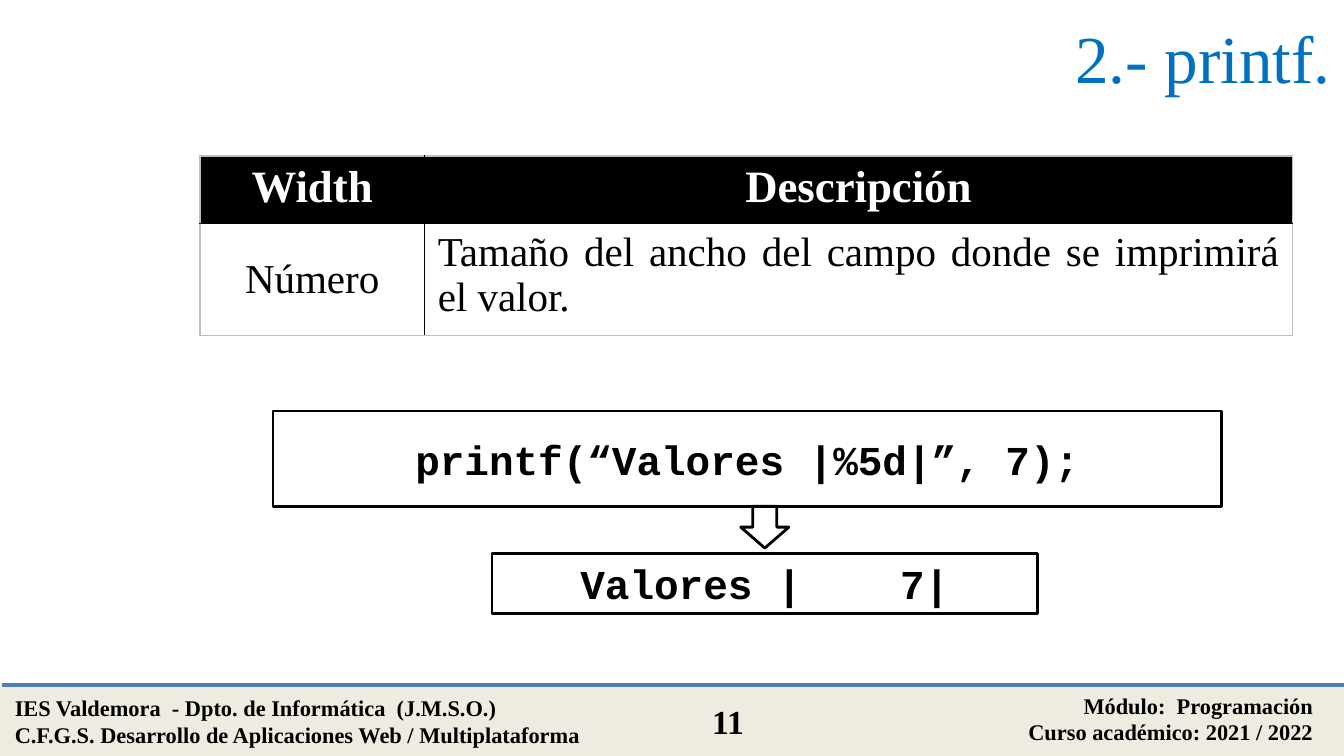
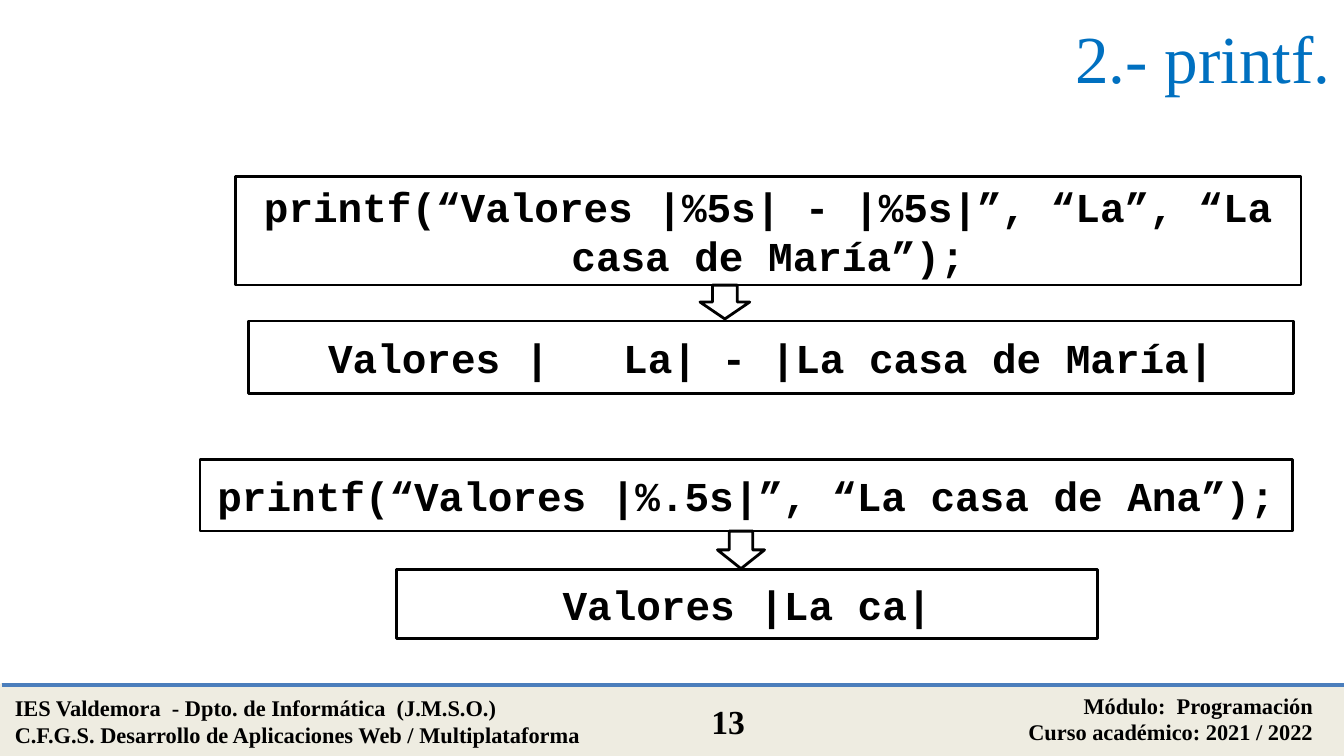
from lxml import etree
from pptx import Presentation
from pptx.dml.color import RGBColor
from pptx.enum.shapes import MSO_CONNECTOR, MSO_SHAPE
from pptx.enum.text import MSO_ANCHOR, PP_ALIGN
from pptx.oxml.ns import qn
from pptx.util import Cm, Pt

LEFT, CENTER, RIGHT = PP_ALIGN.LEFT, PP_ALIGN.CENTER, PP_ALIGN.RIGHT
JUSTIFY = PP_ALIGN.JUSTIFY
TOP, MIDDLE = MSO_ANCHOR.TOP, MSO_ANCHOR.MIDDLE
RECT, ARROW = MSO_SHAPE.RECTANGLE, MSO_SHAPE.DOWN_ARROW
STRAIGHT = MSO_CONNECTOR.STRAIGHT

COLORS = {"ink": "000000", "paper": "FFFFFF", "title": "0070C0",
          "band": "EEECE1", "rule": "4B7EBC", "edge": "BFBFBF"}
SERIF, MONO = "Times New Roman", "Courier New"
WIDE, HIGH = 25.4, 14.29
BAND_TOP = 12.95

TITLE = "2.- printf."
SCHOOL = ["IES Valdemora  - Dpto. de Informática  (J.M.S.O.)",
          "C.F.G.S. Desarrollo de Aplicaciones Web / Multiplataforma"]
COURSE = ["Módulo:  Programación", "Curso académico: 2021 / 2022"]

# Table: cell texts, column widths, row heights
TABLE = {
    "at": (3.78, 2.95),
    "cols": (4.24, 16.41),
    "rows": (1.19, 1.98),
    "cells": [["Width", "Descripción"],
              ["Número", "Tamaño del ancho del campo donde se imprimirá "
                         "el valor."]],
}

# Each example: code and its box, arrow (left, width, height), output and its box
SLIDES = [
    {"number": 11, "table": TABLE, "demos": [
        ("printf(“Valores |%5d|”, 7);", (5.16, 7.77, 17.93, 1.8),
         (14, 0.91, 0.79),
         "Valores |    7|", (9.3, 10.46, 10.31, 1.14)),
    ]},
    {"number": 13, "table": None, "demos": [
        ("printf(“Valores |%5s| - |%5s|”, “La”, “La casa de María”);",
         (4.45, 3.33, 20.14, 2.06),
         (13.23, 0.94, 0.64),
         "Valores |   La| - |La casa de María|", (4.7, 6.07, 19.74, 1.37)),
        ("printf(“Valores |%.5s|”, “La casa de Ana”);",
         (3.78, 8.69, 20.65, 1.35),
         (13.56, 0.89, 0.71),
         "Valores |La ca|", (7.49, 10.77, 13.26, 1.3)),
    ]},
]


def rgb(name):
    """Return the named colour."""
    return RGBColor.from_string(COLORS[name])


def write(frame, lines, size=12, font=SERIF, color="ink", bold=False,
          align=LEFT, anchor=TOP):
    """Fill a text frame with one paragraph per line."""
    frame.word_wrap = True
    frame.vertical_anchor = anchor
    for i, line in enumerate(lines):
        para = frame.paragraphs[0] if i == 0 else frame.add_paragraph()
        para.alignment = align
        run = para.add_run()
        run.text = line
        run.font.size, run.font.name, run.font.bold = Pt(size), font, bold
        run.font.color.rgb = rgb(color)


def label(parent, box, lines, **style):
    """Add a text box."""
    shape = parent.shapes.add_textbox(*map(Cm, box))
    write(shape.text_frame, lines, **style)


def block(parent, kind, box, fill=None, line="ink", width=1.5):
    """Add a flat preset shape and return it."""
    shape = parent.shapes.add_shape(kind, *map(Cm, box))
    shape.shadow.inherit = False
    if fill:
        shape.fill.solid()
        shape.fill.fore_color.rgb = rgb(fill)
    else:
        shape.fill.background()
    shape.line.color.rgb = rgb(line)
    shape.line.width = Pt(width)
    return shape


def frame(slide, number):
    """Add the footer band and the title."""
    band = slide.shapes.add_group_shape()
    block(band, RECT, (0.03, BAND_TOP, WIDE, 1.32), "band", "band", 2)
    rule = band.shapes.add_connector(STRAIGHT, Cm(0.03), Cm(BAND_TOP),
                                     Cm(WIDE + 0.03), Cm(BAND_TOP))
    rule.line.color.rgb = rgb("rule")
    rule.line.width = Pt(2)
    props = rule._element.find(qn("p:spPr"))
    etree.SubElement(props, qn("a:effectLst"))
    label(band, (0.03, 13, 11.84, 1.27), SCHOOL, bold=True)
    label(band, (14.91, BAND_TOP, 10.16, 1.27), COURSE, bold=True, align=RIGHT)
    label(band, (12.73, 13.13, 2.06, 1.02), [str(number)], size=18,
          bold=True, align=CENTER)
    label(slide, (3.35, 0, 22.05, 2.13), [TITLE], size=36, color="title",
          align=RIGHT, anchor=MIDDLE)


def border(cell, side, color, width):
    """Draw one side of a table cell."""
    props = cell._tc.get_or_add_tcPr()
    line = etree.SubElement(props, qn("a:ln" + side), w=str(Pt(width)))
    fill = etree.SubElement(line, qn("a:solidFill"))
    etree.SubElement(fill, qn("a:srgbClr"), val=COLORS[color])


def grid(slide, data):
    """Add the table: black head row, plain body, grey outer edge."""
    cols, rows = data["cols"], data["rows"]
    size = (sum(cols), sum(rows))
    table = slide.shapes.add_table(len(rows), len(cols),
                                   *map(Cm, data["at"] + size)).table
    table.first_row = table.horz_banding = False
    for col, width in zip(table.columns, cols):
        col.width = Cm(width)
    for row, height in zip(table.rows, rows):
        row.height = Cm(height)
    for r, texts in enumerate(data["cells"]):
        for c, text in enumerate(texts):
            cell = table.cell(r, c)
            head, first = r == 0, c == 0
            outer = {"L": first, "R": c == len(cols) - 1,
                     "T": head, "B": r == len(rows) - 1}
            for side, edge in outer.items():
                border(cell, side, *(("edge", 0.75) if edge else ("ink", 1)))
            if head:
                cell.fill.solid()
                cell.fill.fore_color.rgb = rgb("ink")
            else:
                cell.fill.background()
            write(cell.text_frame, [text], size=24 if head else 22, bold=head,
                  color="paper" if head else "ink",
                  align=CENTER if head or first else JUSTIFY)
            cell.vertical_anchor = MIDDLE if first and not head else TOP


def demo(slide, code, source, arrow, result, target):
    """Add a code box, the arrow below it and the output box."""
    for text, box in ((code, source), (result, target)):
        shape = block(slide, RECT, box)
        write(shape.text_frame, [text], size=22, font=MONO, bold=True,
              align=CENTER, anchor=MIDDLE)
    left, width, height = arrow
    block(slide, ARROW, (left, source[1] + source[3], width, height))


def main():
    """Build and save the slides."""
    deck = Presentation()
    deck.slide_width, deck.slide_height = Cm(WIDE), Cm(HIGH)
    for page in SLIDES:
        slide = deck.slides.add_slide(deck.slide_layouts[6])
        frame(slide, page["number"])
        if page["table"]:
            grid(slide, page["table"])
        for item in page["demos"]:
            demo(slide, *item)
    deck.save("out.pptx")


main()
